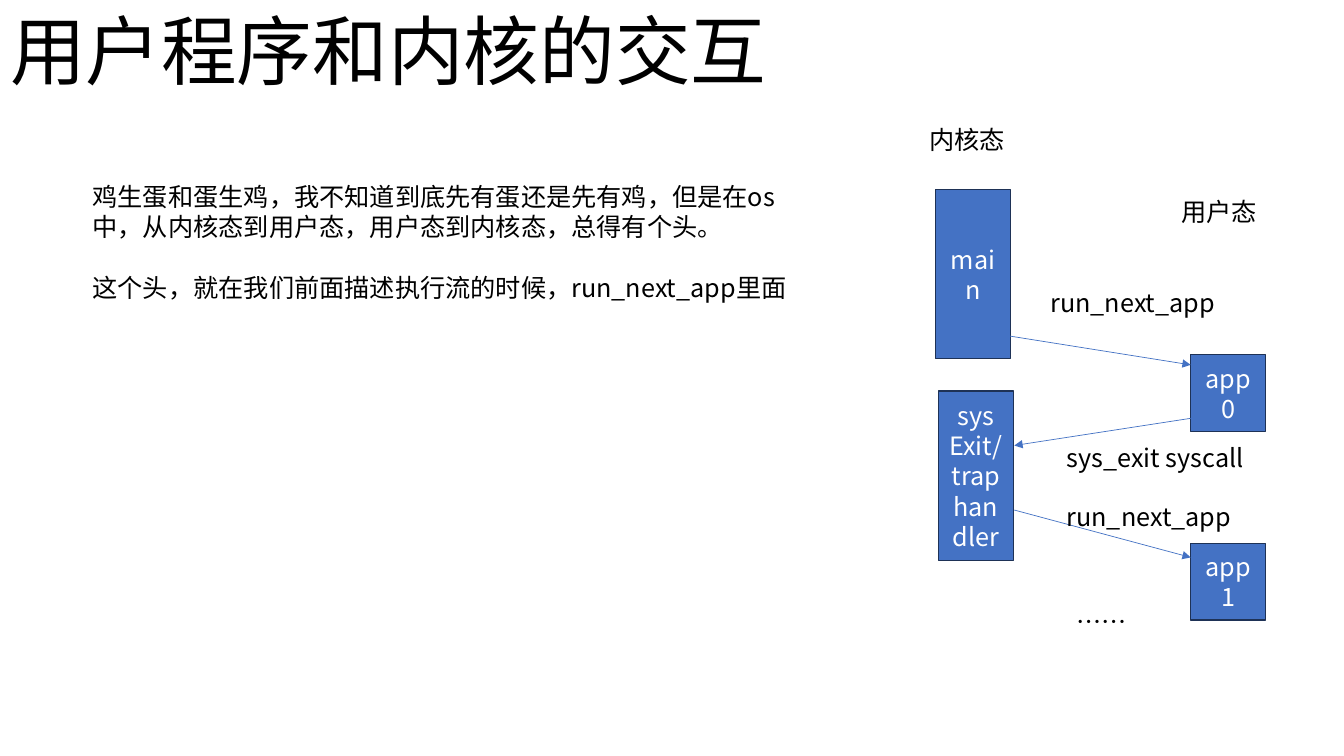
from lxml import etree
from pptx import Presentation
from pptx.dml.color import RGBColor
from pptx.enum.shapes import MSO_CONNECTOR, MSO_SHAPE
from pptx.enum.text import MSO_ANCHOR, MSO_AUTO_SIZE, PP_ALIGN
from pptx.oxml.ns import qn
from pptx.util import Inches, Pt

BLACK = RGBColor(0x00, 0x00, 0x00)
WHITE = RGBColor(0xFF, 0xFF, 0xFF)
BLUE = RGBColor(0x44, 0x72, 0xC4)
NAVY = RGBColor(0x1E, 0x32, 0x56)
FONT = "Noto Sans CJK SC"
RECTANGLE = MSO_SHAPE.RECTANGLE
STRAIGHT = MSO_CONNECTOR.STRAIGHT
TOP, MIDDLE = MSO_ANCHOR.TOP, MSO_ANCHOR.MIDDLE
LEFT, CENTER = PP_ALIGN.LEFT, PP_ALIGN.CENTER
NO_AUTOFIT = MSO_AUTO_SIZE.NONE

TITLE_BOX = (0, -0.01, 7.78, 1.01)
EXPLANATION_BOX = (0.82, 1.75, 7.14, 1.62)
DIAGRAM_BOX = (9.12, 1.18, 3.91, 5.19)

EXPLANATION = [
    "鸡生蛋和蛋生鸡，我不知道到底先有蛋还是先有鸡，但是在os中，从内核态到用户态，用户态到内核态，总得有个头。",
    "这个头，就在我们前面描述执行流的时候，run_next_app里面",
]
BLOCK_WIDTH, KERNEL_HEIGHT, APP_HEIGHT, LABEL_HEIGHT = 0.74, 1.68, 0.76, 0.4
BLOCKS = [
    (["main"], 0.16, 0.7, KERNEL_HEIGHT),
    (["sys", "Exit/trap handler"], 0.19, 2.7, KERNEL_HEIGHT),
    (["app0"], 2.69, 2.34, APP_HEIGHT),
    (["app1"], 2.69, 4.21, APP_HEIGHT),
]
ARROWS = [
    (0.87, 2.15, 2.69, 2.44),
    (2.69, 2.97, 0.94, 3.24),
    (0.94, 3.88, 2.69, 4.35),
]
LABELS = [
    ("内核态", 0, 0, 1.07),
    ("用户态", 2.5, 0.72, 1.41),
    ("run_next_app", 1.2, 1.62, 2.28),
    ("sys_exit syscall", 1.36, 3.16, 2.28),
    ("run_next_app", 1.36, 3.74, 2.28),
    ("……", 1.46, 4.79, 1.66),
]


def write_text(shape, texts, size=18, color=BLACK, alignment=LEFT, gap=0, **frame_format):
    """Fill a shape with one formatted paragraph per text."""
    frame = shape.text_frame
    frame_values = {"word_wrap": True, "vertical_anchor": TOP, "auto_size": NO_AUTOFIT}
    for name, value in (frame_values | frame_format).items():
        setattr(frame, name, value)
    for index, text in enumerate(texts):
        paragraph = frame.add_paragraph() if index else frame.paragraphs[0]
        paragraph.alignment = alignment
        paragraph.line_spacing = 1.0
        paragraph.space_before = Pt(gap if index else 0)
        run = paragraph.add_run()
        run.text = text
        for name, value in {"name": FONT, "size": Pt(size), "bold": False}.items():
            setattr(run.font, name, value)
        run.font.color.rgb = color
        east_asian = etree.SubElement(run.font._element, qn("a:ea"))
        east_asian.set("typeface", FONT)


def add_title(slide, box):
    """Place the title placeholder in its box."""
    title = slide.shapes.title
    for name, value in zip(("left", "top", "width", "height"), box):
        setattr(title, name, Inches(value))
    write_text(title, ["用户程序和内核的交互"], size=54, word_wrap=False)


def add_text(slide, box, texts, gap=0):
    """Add a text box with the given paragraphs."""
    text_box = slide.shapes.add_textbox(*map(Inches, box))
    write_text(text_box, texts, gap=gap)


def add_block(slide, box, texts):
    """Add a blue block with centred white text."""
    block = slide.shapes.add_shape(RECTANGLE, *map(Inches, box))
    block.shadow.inherit = False
    block.fill.solid()
    block.fill.fore_color.rgb = BLUE
    block.line.color.rgb = NAVY
    block.line.width = Pt(1)
    write_text(block, texts, color=WHITE, alignment=CENTER, vertical_anchor=MIDDLE)


def add_arrow(slide, ends):
    """Add a thin blue arrow between two points."""
    arrow = slide.shapes.add_connector(STRAIGHT, *map(Inches, ends))
    arrow.line.color.rgb = BLUE
    arrow.line.width = Pt(0.5)
    head = etree.SubElement(arrow.line._get_or_add_ln(), qn("a:tailEnd"))
    head.set("type", "triangle")
    etree.SubElement(arrow._element.spPr, qn("a:effectLst"))


def add_diagram(slide, box):
    """Draw the switches between kernel mode and user mode."""
    left, top = box[:2]
    for texts, x, y, height in BLOCKS:
        add_block(slide, (left + x, top + y, BLOCK_WIDTH, height), texts)
    for start_x, start_y, end_x, end_y in ARROWS:
        add_arrow(slide, (left + start_x, top + start_y, left + end_x, top + end_y))
    for text, x, y, width in LABELS:
        add_text(slide, (left + x, top + y, width, LABEL_HEIGHT), [text])


def main():
    """Build the slide and save the presentation."""
    presentation = Presentation()
    presentation.slide_width = Inches(13.33)
    presentation.slide_height = Inches(7.5)
    slide = presentation.slides.add_slide(presentation.slide_layouts[5])
    add_title(slide, TITLE_BOX)
    add_text(slide, EXPLANATION_BOX, EXPLANATION, gap=22)
    add_diagram(slide, DIAGRAM_BOX)
    presentation.save("out.pptx")


if __name__ == "__main__":
    main()
